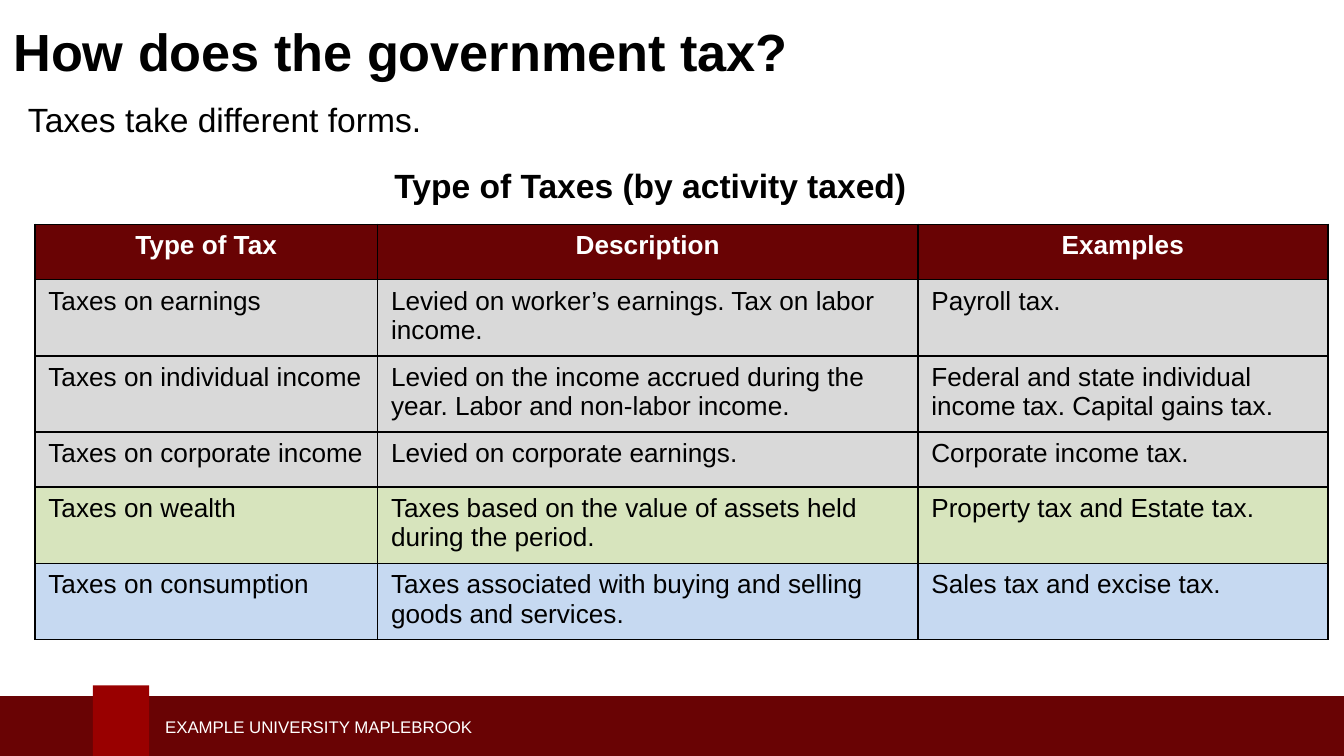
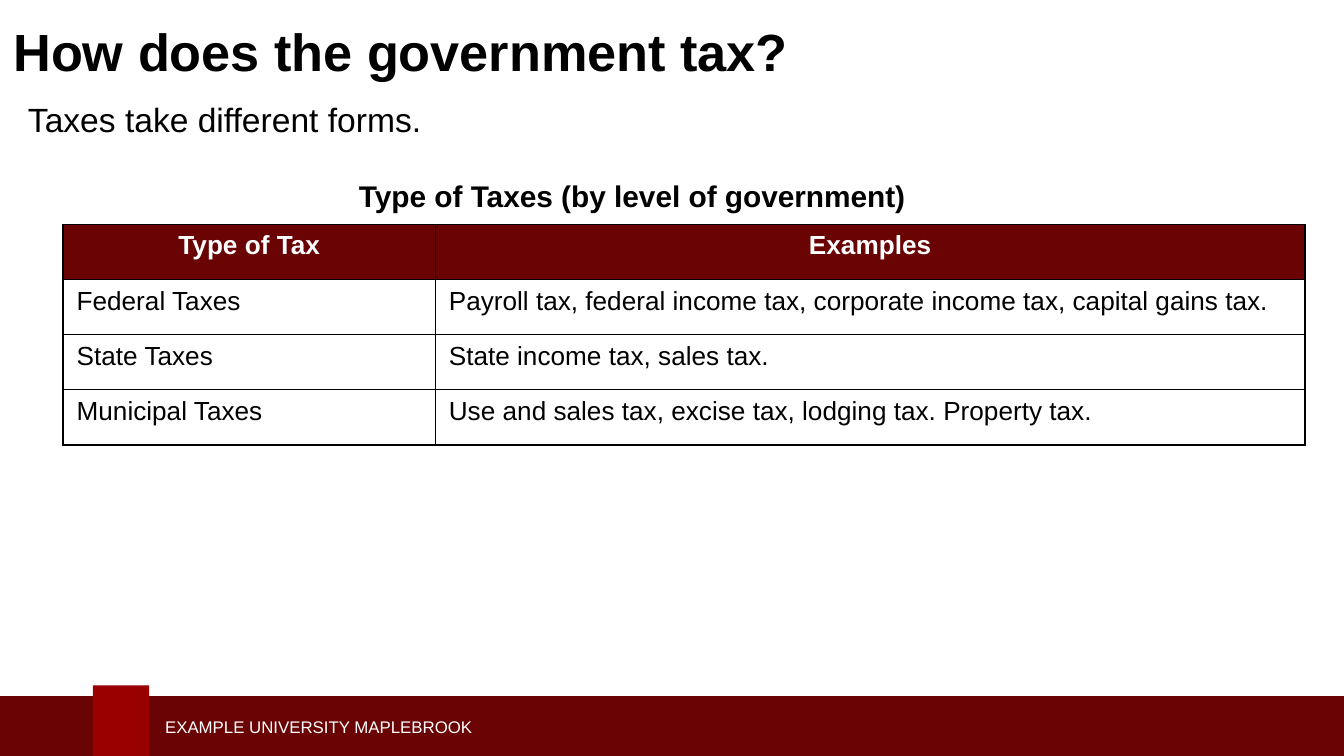
"""Build two slides on how the government taxes, each with a table of tax types."""
from lxml.etree import SubElement
from pptx import Presentation
from pptx.dml.color import RGBColor
from pptx.enum.shapes import MSO_SHAPE
from pptx.enum.text import MSO_ANCHOR, MSO_AUTO_SIZE, PP_ALIGN
from pptx.oxml.ns import qn
from pptx.util import Inches, Pt

CRIMSON, RED, BLACK, WHITE = "690304", "990000", "000000", "FFFFFF"
GREY, GREEN, BLUE = "D9D9D9", "D7E4BD", "C6D9F1"
FONT = "Arial"


def rgb(value):
    """Turn a hex string into a colour."""
    return RGBColor.from_string(value)


def write(tf, text, size, color=BLACK, bold=False, align=PP_ALIGN.LEFT, space=0, frame=None):
    """Put one formatted paragraph into a text frame."""
    for name, value in (frame or {}).items():
        setattr(tf, name, value)
    p = tf.paragraphs[0]
    for name, value in {"alignment": align, "space_before": Pt(space), "space_after": Pt(space)}.items():
        setattr(p, name, value)
    r = p.add_run()
    r.text = text
    for name, value in {"name": FONT, "size": Pt(size), "bold": bold}.items():
        setattr(r.font, name, value)
    r.font.color.rgb = rgb(color)


TITLE_FRAME = {"word_wrap": True, "auto_size": MSO_AUTO_SIZE.NONE, "vertical_anchor": MSO_ANCHOR.MIDDLE}
TEXT_FRAME = {"word_wrap": True, "auto_size": MSO_AUTO_SIZE.SHAPE_TO_FIT_TEXT, "vertical_anchor": MSO_ANCHOR.TOP}
FOOTER_FRAME = {**TEXT_FRAME, "vertical_anchor": MSO_ANCHOR.MIDDLE}

FOOTER_BLOCKS = [
    ((-0.03, 5.18, 10.09, 0.5), CRIMSON),
    ((0.69, 5.1, 0.42, 0.58), RED),
]

SLIDES = [
    {
        "caption": "Type of Taxes (by activity taxed)",
        "caption_box": (2.68, 1.18, 4.32, 0.4),
        "caption_size": 18,
        "left": 0.26,
        "cols": [2.55, 4.02, 3.05],
        "fills": [CRIMSON, GREY, GREY, GREY, GREEN, BLUE],
        "rows": [
            ("Type of Tax", "Description", "Examples"),
            ("Taxes on earnings", "Levied on worker’s earnings. Tax on labor income.", "Payroll tax."),
            ("Taxes on individual income",
             "Levied on the income accrued during the year. Labor and non-labor income.",
             "Federal and state individual income tax. Capital gains tax."),
            ("Taxes on corporate income", "Levied on corporate earnings.", "Corporate income tax."),
            ("Taxes on wealth", "Taxes based on the value of assets held during the period.",
             "Property tax and Estate tax."),
            ("Taxes on consumption", "Taxes associated with buying and selling goods and services.",
             "Sales tax and excise tax."),
        ],
    },
    {
        "caption": "Type of Taxes (by level of government)",
        "caption_box": (2.08, 1.27, 5.25, 0.37),
        "caption_size": 16,
        "left": 0.47,
        "cols": [2.77, 6.47],
        "fills": [CRIMSON, None, None, None],
        "rows": [
            ("Type of Tax", "Examples"),
            ("Federal Taxes", "Payroll tax, federal income tax, corporate income tax, capital gains tax."),
            ("State Taxes", "State income tax, sales tax."),
            ("Municipal Taxes", "Use and sales tax, excise tax, lodging tax. Property tax."),
        ],
    },
]

prs = Presentation()
prs.slide_width = Inches(10)
prs.slide_height = Inches(10) * 9 // 16

for content in SLIDES:
    s = prs.slides.add_slide(prs.slide_layouts[5])

    for box, color in FOOTER_BLOCKS:
        sp = s.shapes.add_shape(MSO_SHAPE.RECTANGLE, *map(Inches, box))
        sp.shadow.inherit = False
        sp.fill.solid()
        sp.fill.fore_color.rgb = rgb(color)
        sp.line.fill.background()
    footer = s.shapes.add_textbox(*map(Inches, (1.13, 5.28, 3.95, 0.25)))
    write(footer.text_frame, "EXAMPLE UNIVERSITY MAPLEBROOK", 9, WHITE, frame=FOOTER_FRAME)

    title = s.shapes.title
    for name, value in {"left": 0, "top": 0, "width": 10, "height": 0.76}.items():
        setattr(title, name, Inches(value))
    write(title.text_frame, "How does the government tax?", 28, bold=True, frame=TITLE_FRAME)

    intro = s.shapes.add_textbox(*map(Inches, (0.11, 0.69, 9.78, 0.4)))
    write(intro.text_frame, "Taxes take different forms.", 18, space=6, frame=TEXT_FRAME)

    rows, cols = content["rows"], content["cols"]
    box = (content["left"], 1.67, sum(cols), 0.41 * len(rows))
    table = s.shapes.add_table(len(rows), len(cols), *map(Inches, box)).table
    for column, width in zip(table.columns, cols):
        column.width = Inches(width)
    for i, (texts, fill) in enumerate(zip(rows, content["fills"])):
        table.rows[i].height = Inches(0.41)
        header = i == 0
        for j, text in enumerate(texts):
            cell = table.cell(i, j)
            tcPr = cell._tc.get_or_add_tcPr()
            for side in ("a:lnL", "a:lnR", "a:lnT", "a:lnB"):
                ln = SubElement(tcPr, qn(side), w=str(Pt(1)))
                SubElement(SubElement(ln, qn("a:solidFill")), qn("a:srgbClr"), val=BLACK)
            if fill:
                cell.fill.solid()
                cell.fill.fore_color.rgb = rgb(fill)
            else:
                cell.fill.background()
            write(cell.text_frame, text, 14, WHITE if header else BLACK, header,
                  PP_ALIGN.CENTER if header else PP_ALIGN.LEFT)

    caption = s.shapes.add_textbox(*map(Inches, content["caption_box"]))
    write(caption.text_frame, content["caption"], content["caption_size"], bold=True,
          align=PP_ALIGN.CENTER, space=6, frame=TEXT_FRAME)

prs.save("out.pptx")
